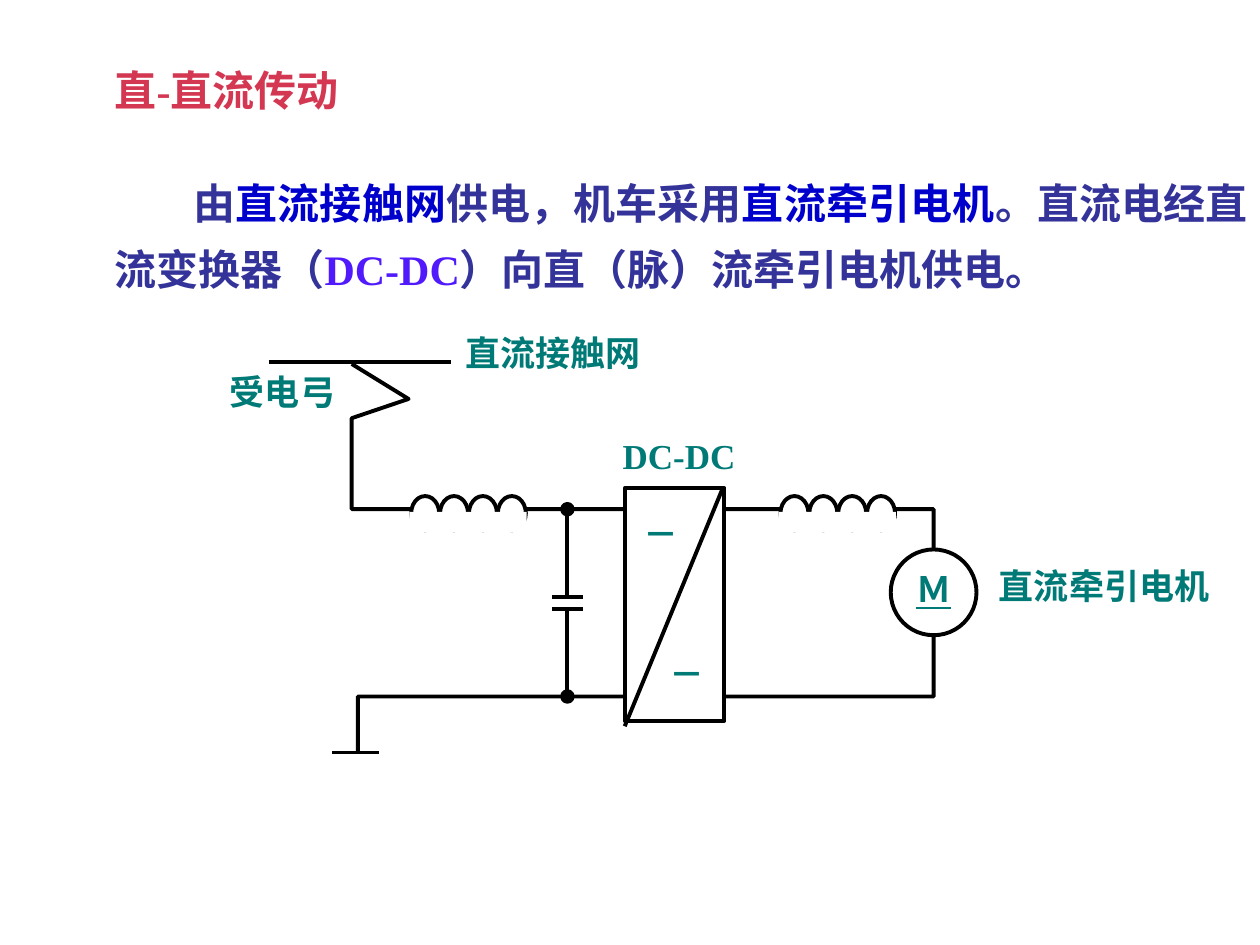
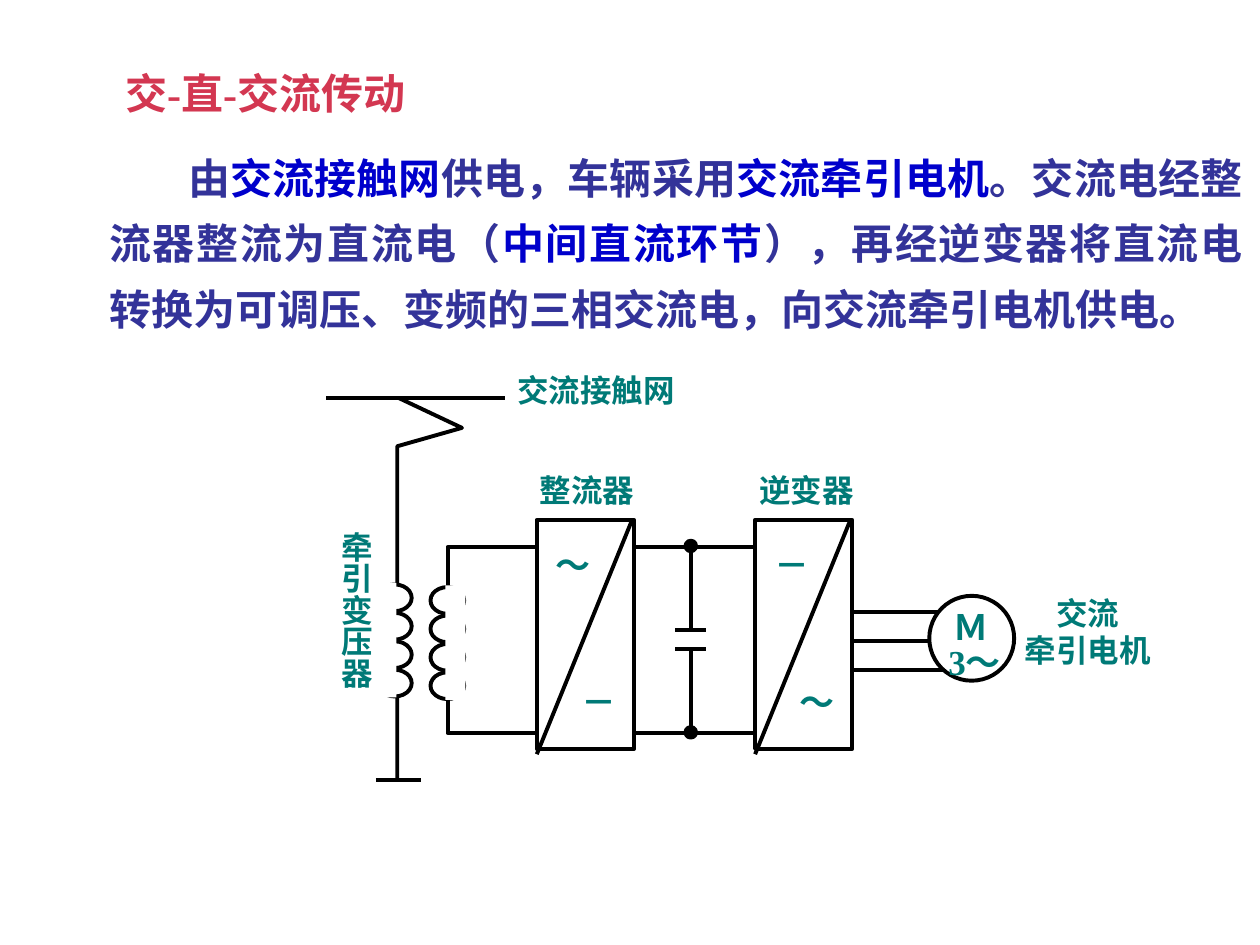
from dataclasses import dataclass

from lxml.etree import SubElement
from pptx import Presentation
from pptx.dml.color import RGBColor
from pptx.enum.shapes import MSO_CONNECTOR, MSO_SHAPE
from pptx.enum.text import MSO_ANCHOR, MSO_AUTO_SIZE, PP_ALIGN
from pptx.oxml import parse_xml
from pptx.oxml.ns import nsdecls, qn
from pptx.util import Pt

COLORS = {
    "title": "D33751",
    "body": "333399",
    "key": "0000CC",
    "chopper": "501AFC",
    "label": "007A77",
    "line": "000000",
    "background": "FFFFFF",
}
SERIF = "Times New Roman"
SANS = "Arial"
LINE_WIDTH = 2.25
DIRECT = "－"
ALTERNATING = "～"
COIL_TURNS = 4

Point = tuple[float, float]


@dataclass
class Box:
    left: float
    top: float
    width: float
    height: float

    def lengths(self) -> list[Pt]:
        return [Pt(value) for value in (self.left, self.top, self.width, self.height)]


@dataclass
class Label:
    text: str
    box: Box
    font: str = SERIF
    size: float = 20
    underline: bool = False
    vertical: bool = False


@dataclass
class Converter:
    box: Box
    input_sign: str
    output_sign: str


@dataclass
class Coil:
    """Row of loops from the first loop; the mask hides one half of them."""
    first_loop: Box
    step: Point
    mask: Box


@dataclass
class Capacitor:
    x: float
    top: float
    upper_plate: float
    lower_plate: float
    bottom: float


def color(name: str) -> RGBColor:
    return RGBColor.from_string(COLORS[name])


def set_font(paragraph, name: str, size: float, color_name: str) -> None:
    font = paragraph.font
    font.name = name
    font.size = Pt(size)
    font.bold = True
    font.color.rgb = color(color_name)


def place(shape, box: Box) -> None:
    shape.left, shape.top, shape.width, shape.height = box.lengths()


def write_title(slide, text: str, box: Box) -> None:
    title = slide.shapes.title
    place(title, box)
    frame = title.text_frame
    frame.auto_size = MSO_AUTO_SIZE.NONE
    frame.vertical_anchor = MSO_ANCHOR.MIDDLE
    paragraph = frame.paragraphs[0]
    paragraph.alignment = PP_ALIGN.LEFT
    set_font(paragraph, SERIF, 24, "title")
    run = paragraph.add_run()
    run.text = text
    run._r.get_or_add_rPr().append(parse_xml(
        f'<a:effectLst {nsdecls("a")}>'
        f'<a:outerShdw dist="{Pt(2)}" dir="2700000" algn="tl">'
        f'<a:srgbClr val="{COLORS["line"]}"/></a:outerShdw></a:effectLst>'))


def write_body(slide, runs: list[tuple[str, str]], box: Box) -> None:
    body = slide.placeholders[1]
    place(body, box)
    frame = body.text_frame
    frame.auto_size = MSO_AUTO_SIZE.NONE
    paragraph = frame.paragraphs[0]
    properties = paragraph._p.get_or_add_pPr()
    properties.set("marL", "0")
    properties.set("indent", str(Pt(45)))
    SubElement(properties, qn("a:buNone"))
    paragraph.alignment = PP_ALIGN.JUSTIFY
    paragraph.line_spacing = 1.3
    paragraph.space_before = Pt(0)
    set_font(paragraph, SERIF, 24, "body")
    for color_name, text in runs:
        run = paragraph.add_run()
        run.text = text
        run.font.color.rgb = color(color_name)


def add_label(slide, label: Label) -> None:
    frame = slide.shapes.add_textbox(*label.box.lengths()).text_frame
    frame.word_wrap = True
    frame.margin_left = frame.margin_right = Pt(1.5)
    frame.margin_top = frame.margin_bottom = Pt(0.75)
    if label.vertical:
        frame._txBody.bodyPr.set("vert", "eaVert")
    frame.text = label.text
    for paragraph in frame.paragraphs:
        paragraph.alignment = PP_ALIGN.CENTER
        set_font(paragraph, label.font, label.size, "label")
        if label.underline:
            paragraph.font.underline = True


def add_block(slide, kind: MSO_SHAPE, box: Box, fill: str = "background",
              outlined: bool = True) -> None:
    shape = slide.shapes.add_shape(kind, *box.lengths())
    shape.shadow.inherit = False
    shape.fill.solid()
    shape.fill.fore_color.rgb = color(fill)
    if outlined:
        shape.line.color.rgb = color("line")
        shape.line.width = Pt(LINE_WIDTH)
    else:
        shape.line.fill.background()


def add_line(slide, start: Point, end: Point) -> None:
    connector = slide.shapes.add_connector(
        MSO_CONNECTOR.STRAIGHT, *(Pt(value) for value in (*start, *end)))
    connector.line.color.rgb = color("line")
    connector.line.width = Pt(LINE_WIDTH)
    SubElement(connector._element.spPr, qn("a:effectLst"))


def add_wire(slide, points: list[Point]) -> None:
    first, *others = [(Pt(x), Pt(y)) for x, y in points]
    builder = slide.shapes.build_freeform(*first)
    builder.add_line_segments(others, close=False)
    wire = builder.convert_to_shape()
    wire.shadow.inherit = False
    wire.fill.background()
    wire.line.color.rgb = color("line")
    wire.line.width = Pt(LINE_WIDTH)


def add_coil(slide, coil: Coil) -> None:
    loop = coil.first_loop
    for turn in range(COIL_TURNS):
        add_block(slide, MSO_SHAPE.OVAL, Box(
            loop.left + turn * coil.step[0], loop.top + turn * coil.step[1],
            loop.width, loop.height))
    add_block(slide, MSO_SHAPE.RECTANGLE, coil.mask, outlined=False)


def add_converter(slide, converter: Converter) -> None:
    box = converter.box
    add_block(slide, MSO_SHAPE.RECTANGLE, box)
    add_line(slide, (box.left + box.width - 1, box.top),
             (box.left, box.top + box.height + 3))
    for sign, x, y in ((converter.input_sign, 3, 13),
                       (converter.output_sign, 17.5, box.height - 40)):
        add_label(slide, Label(sign, Box(box.left + x, box.top + y, 36, 27)))


def add_capacitor(slide, capacitor: Capacitor) -> None:
    x = capacitor.x
    for node, plate in ((capacitor.top, capacitor.upper_plate),
                        (capacitor.bottom, capacitor.lower_plate)):
        add_line(slide, (x, node), (x, plate))
        add_line(slide, (x - 8.75, plate), (x + 8.75, plate))
        add_block(slide, MSO_SHAPE.OVAL, Box(x - 3, node - 3, 6, 6), "line")


def add_horizontal(slide, left: float, right: float, y: float) -> None:
    add_line(slide, (left, y), (right, y))


def build_dc_dc(slide) -> None:
    write_title(slide, "直-直流传动", Box(58.25, 29.5, 648, 43))
    write_body(slide, [
        ("body", "由"), ("key", "直流接触网"), ("body", "供电，机车采用"),
        ("key", "直流牵引电机"), ("body", "。直流电经直流变换器（"),
        ("chopper", "DC-DC"), ("body", "）向直（脉）流牵引电机供电。"),
    ], Box(58.25, 89.25, 662, 83.5))

    add_wire(slide, [(201, 208), (233.5, 228), (201, 239), (201, 291), (533.5, 291),
                     (533.5, 398), (204.5, 398), (204.5, 430)])
    for left in (235, 446):
        add_coil(slide, Coil(Box(left, 283.5, 16, 19.5), (16.5, 0),
                             Box(left - 1, 292.5, 67, 11.5)))
    add_converter(slide, Converter(Box(357, 279, 57, 133), DIRECT, DIRECT))
    add_horizontal(slide, 153.5, 258, 207)
    add_horizontal(slide, 190, 216.5, 430)
    add_capacitor(slide, Capacitor(324.25, 291, 341, 348, 398))
    add_block(slide, MSO_SHAPE.OVAL, Box(509, 314, 49, 49))

    for label in (
        Label("DC-DC", Box(335, 247.5, 106, 26)),
        Label("Ｍ", Box(515.5, 323.5, 36, 27), underline=True),
        Label("受电弓", Box(120, 211, 83, 26)),
        Label("直流牵引电机", Box(561.5, 322, 139, 26)),
        Label("直流接触网", Box(251.5, 188.5, 129, 26)),
    ):
        add_label(slide, label)


def build_ac_dc_ac(slide) -> None:
    write_title(slide, "交-直-交流传动", Box(64.25, 31.75, 648, 43))
    write_body(slide, [
        ("body", "由"), ("key", "交流接触网"), ("body", "供电，车辆采用"),
        ("key", "交流牵引电机"), ("body", "。交流电经整流器整流为直流电（"),
        ("key", "中间直流环节"),
        ("body", "），再经逆变器将直流电转换为可调压、变频的三相交流电，向交流牵引电机供电。"),
    ], Box(55.25, 74.75, 662, 124))

    add_block(slide, MSO_SHAPE.RECTANGLE, Box(255.75, 312.5, 198, 106.5))
    add_horizontal(slide, 186.5, 288.5, 227.5)
    add_horizontal(slide, 214.75, 240.5, 445.5)
    add_capacitor(slide, Capacitor(394.75, 312, 360, 371, 418.5))
    for phase in range(3):
        add_horizontal(slide, 487, 548, 349.75 + 16.6 * phase)
    add_converter(slide, Converter(Box(431.5, 297, 55.5, 131), DIRECT, ALTERNATING))
    add_converter(slide, Converter(Box(306.75, 297, 55.5, 131), ALTERNATING, DIRECT))
    add_block(slide, MSO_SHAPE.OVAL, Box(531, 340.5, 48.5, 48.5))
    add_wire(slide, [(228, 227.5), (264, 244.5), (227, 255), (227, 445)])
    for loop_left, top, mask_left in ((216, 334, 215), (246, 335.5, 254.5)):
        add_coil(slide, Coil(Box(loop_left, top, 19.25, 15.25), (0, 16.25),
                             Box(mask_left, top - 1, 11.5, 65.5)))

    for label in (
        Label("Ｍ", Box(537, 345.5, 36, 27)),
        Label("3～", Box(533.5, 365, 47, 27)),
        Label("交流接触网", Box(281, 211, 119, 23), SANS, 18),
        Label("交流\n牵引电机", Box(574, 338.5, 95, 45), SANS, 18),
        Label("整流器", Box(296.5, 268.5, 78, 23), SANS, 18),
        Label("逆变器", Box(422, 268.5, 78, 23), SANS, 18),
        Label("牵引变压器", Box(191.5, 303, 24.5, 116), SANS, 18, vertical=True),
    ):
        add_label(slide, label)


def main() -> None:
    presentation = Presentation()
    presentation.slide_width, presentation.slide_height = Pt(720), Pt(540)
    for build in (build_dc_dc, build_ac_dc_ac):
        build(presentation.slides.add_slide(presentation.slide_layouts[1]))
    presentation.save("out.pptx")


if __name__ == "__main__":
    main()
